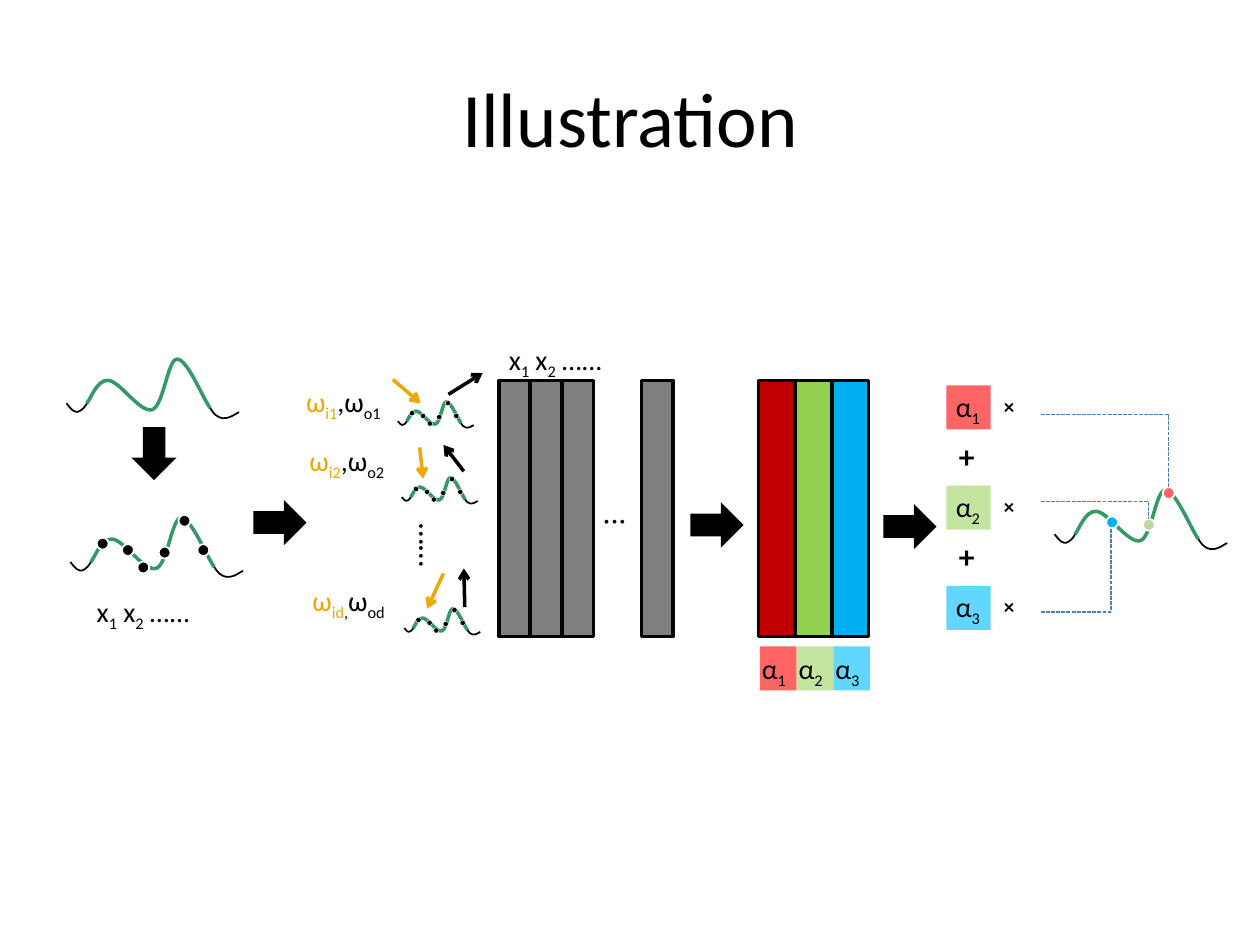
from lxml import etree
from pptx import Presentation
from pptx.dml.color import RGBColor
from pptx.enum import dml, shapes, text
from pptx.oxml import ns
from pptx.util import Cm, Pt

BLACK = RGBColor(0, 0, 0)
WHITE = RGBColor(0xFF, 0xFF, 0xFF)
GRAY = RGBColor(0x7F, 0x7F, 0x7F)
GREEN = RGBColor(0x33, 0x99, 0x66)
ORANGE = RGBColor(0xEE, 0xA8, 0x04)
BLUE = RGBColor(0x4A, 0x7E, 0xBB)
DARK_RED = RGBColor(0xC0, 0, 0)
LIME = RGBColor(0x92, 0xD0, 0x50)
SKY = RGBColor(0, 0xB0, 0xF0)
SAGE = RGBColor(0xC3, 0xD6, 0x9B)
CORAL = RGBColor(0xFF, 0x65, 0x65)
PALE_GREEN = RGBColor(0xC4, 0xE5, 0x9F)
PALE_BLUE = RGBColor(0x61, 0xD6, 0xFF)

prs = Presentation()
prs.slide_width, prs.slide_height = Cm(25.4), Cm(19.05)
s = prs.slides.add_slide(prs.slide_layouts[5])


def style(sp, fill=None, line=None, width=1):
    if hasattr(sp, "fill"):
        if fill is None:
            sp.fill.background()
        else:
            sp.fill.solid()
            sp.fill.fore_color.rgb = fill
    if line is None:
        sp.line.fill.background()
    else:
        sp.line.color.rgb = line
        sp.line.width = Pt(width)
    etree.SubElement(sp._element.spPr, ns.qn("a:effectLst"))


def put(txt, box, size=16, bold=False, wrap=True, lead=BLACK, vert=False, rot=0):
    sp = s.shapes.add_textbox(*map(Cm, box))
    sp.rotation = rot
    tf = sp.text_frame
    tf.word_wrap = wrap
    if vert:
        tf._txBody.bodyPr.set("vert", "eaVert")
        tf.margin_left = tf.margin_right = Cm(0.13)
        tf.margin_top = tf.margin_bottom = Cm(0.25)
    p = tf.paragraphs[0]
    for i, piece in enumerate(txt.split("_")):
        if piece:
            r = p.add_run()
            r.text = piece
            r.font.name, r.font.size, r.font.bold = "Calibri", Pt(size), bold
            r.font.color.rgb = lead if i < 2 else BLACK
            if i % 2:
                r.font._element.set("baseline", "-25000")


title = s.shapes.title
title.left, title.top, title.width, title.height = map(Cm, (1.27, 0.76, 22.86, 3.18))
tf = title.text_frame
tf.text = "Illustration"
tf.vertical_anchor = text.MSO_ANCHOR.MIDDLE
p = tf.paragraphs[0]
p.alignment = text.PP_ALIGN.CENTER
p.font.name, p.font.size = "Calibri", Pt(44)
p.font.color.rgb = BLACK

for x, y, rot in ((2.57, 8.69, 90), (5.11, 10.08, 0), (13.92, 10.13, 0), (17.81, 10.16, 0)):
    sp = s.shapes.add_shape(shapes.MSO_SHAPE.RIGHT_ARROW, Cm(x), Cm(y), Cm(1.07), Cm(0.91))
    sp.rotation = rot
    style(sp, BLACK)

bars = [(x, 0.64, GRAY) for x in (10.06, 10.69, 11.33, 12.93)]
bars += [(15.29 + 0.74 * i, 0.74, c) for i, c in enumerate((DARK_RED, LIME, SKY))]
for x, w, color in bars:
    sp = s.shapes.add_shape(shapes.MSO_SHAPE.RECTANGLE, Cm(x), Cm(7.67), Cm(w), Cm(5.16))
    style(sp, color, BLACK, 2)

tail = [(-0.41, 0.89), (-0.33, 0.99), (-0.25, 1.12), (-0.13, 1.04), (0.03, 0.97), (0.18, 0.43),
        (0.41, 0.43), (0.64, 0.43), (1.07, 1.09), (1.3, 1.02), (1.55, 0.94), (1.63, 0),
        (1.83, 0), (2.06, 0.03), (2.39, 0.94), (2.59, 1.12), (2.79, 1.3), (3, 1.09), (3.07, 1.07)]
surface = [(0, 0.89), (0.08, 0.81), (0.2, 0.41), (0.43, 0.43), (0.66, 0.43), (1.07, 1.09),
           (1.32, 1.02), (1.55, 0.94), (1.63, 0), (1.82, 0), (2.03, 0), (2.34, 0.79), (2.49, 0.99)]
samples = [(0.24, 0.52), (0.75, 0.65), (1.06, 1), (1.49, 0.7), (1.89, 0.06), (2.27, 0.65)]
all_black = dict.fromkeys(range(6), BLACK)
waves = [(1.75, 7.24, 1, {}), (1.83, 10.44, 1, all_black),
         (8.2, 8.1, 0.44, all_black), (8.28, 9.63, 0.44, all_black), (8.33, 12.27, 0.44, all_black),
         (21.67, 9.88, 1, {1: SKY, 3: SAGE, 4: CORAL})]
for x, y, k, dots in waves:
    for curve, color, width in ((tail, BLACK, 1), (surface, GREEN, 2)):
        pts = [(Cm(x + k * a), Cm(y + k * b)) for a, b in curve]
        fb = s.shapes.build_freeform(*pts[0])
        fb.add_line_segments(pts[1:], close=False)
        sp = fb.convert_to_shape()
        style(sp, None, color, width)
        segs = list(sp._element.iter(ns.qn("a:lnTo")))
        outline = segs[0].getparent()
        for i in range(0, len(segs), 3):
            bez = etree.SubElement(outline, ns.qn("a:cubicBezTo"))
            for seg in segs[i:i + 3]:
                bez.append(seg[0])
                outline.remove(seg)
    d = 0.24 * k
    for i, color in dots.items():
        a, b = samples[i]
        sp = s.shapes.add_shape(shapes.MSO_SHAPE.OVAL, Cm(x + k * a - d / 2),
                                Cm(y + k * b - d / 2), Cm(d), Cm(d))
        style(sp, color, WHITE, 1 if k == 1 else 0.25)

rays = [(7.92, 7.65, 8.48, 8.13, ORANGE), (9.04, 7.95, 9.73, 7.52, BLACK),
        (8.46, 9.02, 8.53, 9.65, ORANGE), (9.35, 9.5, 8.94, 8.97, BLACK),
        (8.94, 11.56, 8.61, 12.27, ORANGE), (9.37, 12.24, 9.35, 11.46, BLACK)]
for *ends, color in rays:
    c = s.shapes.add_connector(shapes.MSO_CONNECTOR.STRAIGHT, *map(Cm, ends))
    style(c, None, color, 2)
    etree.SubElement(c.line._get_or_add_ln(), ns.qn("a:tailEnd"), type="arrow")

for ends in ((20.98, 8.36, 23.55, 9.83), (20.98, 10.11, 23.16, 10.46), (20.98, 12.34, 22.4, 10.64)):
    c = s.shapes.add_connector(shapes.MSO_CONNECTOR.ELBOW, *map(Cm, ends))
    c._element.spPr.find(ns.qn("a:prstGeom")).set("prst", "bentConnector2")
    style(c, None, BLUE, 0.75)
    c.line.dash_style = dml.MSO_LINE.SQUARE_DOT

for i, color in enumerate((CORAL, PALE_GREEN, PALE_BLUE)):
    dx, dy = 0.74 * i, 2.02 * i
    for box in ((15.32 + dx, 13.03, 0.74, 0.89), (19.08, 7.77 + dy, 0.89, 0.89)):
        sp = s.shapes.add_shape(shapes.MSO_SHAPE.RECTANGLE, *map(Cm, box))
        style(sp, color)
    put("×", (19.99, 7.8 + dy, 0.89, 0.76), size=12, bold=True)
    if i < 2:
        put("+", (19.08, 8.69 + dy, 0.89, 1.02), size=18, bold=True)
for i in range(3):
    for x, y in ((15.11 + 0.74 * i, 13), (19.02, 7.72 + 2.02 * i)):
        put(f"α_{i + 1}", (x, y, 0.99, 1.04), wrap=False)

put("x_1_ x_2_ …...", (1.7, 11.86, 3.96, 1.8))
put("x_1_ x_2_ …...", (10.01, 6.78, 2.41, 1.04), wrap=False)
put("ω_i1_,ω_o1", (5.92, 7.62, 2.34, 1.04), lead=ORANGE)
put("ω_i2_,ω_o2", (5.99, 8.81, 2.34, 1.04), lead=ORANGE)
put("ω_id__,_ω_od", (6.05, 11.63, 2.34, 1.04), lead=ORANGE)
put("……", (7.95, 10.31, 1.27, 1.57), size=18, vert=True)
put("…", (11.66, 10.06, 1.27, 1.12), size=18, vert=True, rot=90)

prs.save("out.pptx")
